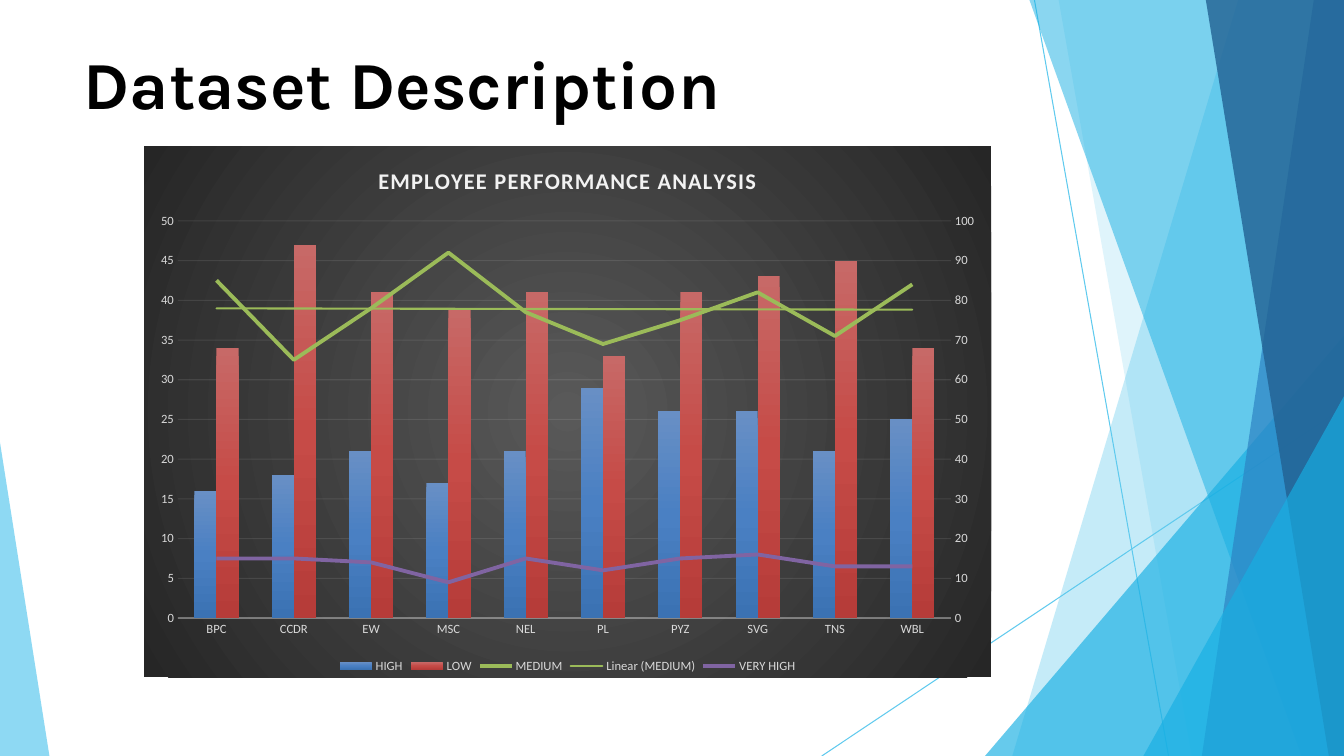
import copy

import pptx
import pptx.chart.data
import pptx.dml.color
import pptx.enum.chart
import pptx.enum.shapes
import pptx.enum.text
import pptx.oxml
import pptx.oxml.ns
import pptx.util

Inches = pptx.util.Inches
Pt = pptx.util.Pt
RGBColor = pptx.dml.color.RGBColor
qn = pptx.oxml.ns.qn

SKY = RGBColor(0x5F, 0xCA, 0xEE)
CYAN = RGBColor(0x17, 0xAF, 0xE3)
BLUE = RGBColor(0x2D, 0x83, 0xC3)
NAVY = RGBColor(0x22, 0x61, 0x92)
BLACK = RGBColor(0, 0, 0)
PALE = RGBColor(0xF2, 0xF2, 0xF2)
LIGHT = RGBColor(0xD9, 0xD9, 0xD9)
GREEN = RGBColor(0x9B, 0xBB, 0x59)
PURPLE = RGBColor(0x80, 0x64, 0xA2)
BACKDROP = [RGBColor(0x59, 0x59, 0x59), RGBColor(0x26, 0x26, 0x26)]
BAR_SHADES = [
    [RGBColor(0x68, 0x8F, 0xC5), RGBColor(0x4A, 0x80, 0xC3), RGBColor(0x3B, 0x72, 0xB3)],
    [RGBColor(0xC7, 0x69, 0x67), RGBColor(0xC6, 0x4B, 0x47), RGBColor(0xB6, 0x3C, 0x39)],
]
LINEAR = '<a:lin ang="5400000" scaled="0"/>'
RADIAL = ('<a:path path="circle"><a:fillToRect l="50000" t="50000" '
          'r="50000" b="50000"/></a:path>')

CATEGORIES = ["BPC", "CCDR", "EW", "MSC", "NEL", "PL", "PYZ", "SVG", "TNS", "WBL"]
SERIES = {
    "HIGH": [16, 18, 21, 17, 21, 29, 26, 26, 21, 25],
    "LOW": [34, 47, 41, 39, 41, 33, 41, 43, 45, 34],
    "MEDIUM": [85, 65, 78, 92, 77, 69, 75, 82, 71, 84],
    "VERY HIGH": [15, 15, 14, 9, 15, 12, 15, 16, 13, 13],
}


def xml(text):
    names = pptx.oxml.ns.nsdecls("a", "c")
    head, tail = text.split(">", 1)
    if head.endswith("/"):
        return pptx.oxml.parse_xml(f"{head[:-1]} {names}/>{tail}")
    return pptx.oxml.parse_xml(f"{head} {names}>{tail}")


def set_opacity(parent, percent):
    for color in parent.iter(qn("a:srgbClr")):
        color.append(xml(f'<a:alpha val="{percent * 1000}"/>'))


def gradient(colors, direction):
    step = 100000 // (len(colors) - 1)
    stops = "".join(f'<a:gs pos="{i * step}"><a:srgbClr val="{color}"/></a:gs>'
                    for i, color in enumerate(colors))
    return xml(f"<a:gradFill><a:gsLst>{stops}</a:gsLst>{direction}</a:gradFill>")


def add_facet(page, points, color, opacity):
    corners = [(Inches(x), Inches(y)) for x, y in points]
    builder = page.shapes.build_freeform(*corners[0], scale=1.0)
    builder.add_line_segments(corners[1:], close=True)
    facet = builder.convert_to_shape()
    facet.shadow.inherit = False
    facet.fill.solid()
    facet.fill.fore_color.rgb = color
    facet.line.fill.background()
    set_opacity(facet._element.spPr, opacity)


def add_decoration(page, width, height):
    for ends in [(10.26, 0, 11.59, height), (width, 4.04, 8.15, height)]:
        ray = page.shapes.add_connector(
            pptx.enum.shapes.MSO_CONNECTOR.STRAIGHT, *map(Inches, ends))
        ray.line.color.rgb = SKY
        ray.line.width = Pt(0.75)
        ray._element.spPr.append(xml("<a:effectLst/>"))
    facets = [
        (12.28, 0, 10.04, SKY, 36),
        (10.5, 0, 11.82, SKY, 20),
        (width, 3.33, 9.77, CYAN, 66),
        (10.21, 0, 12.91, CYAN, 50),
        (13.03, 0, 11.92, BLUE, 70),
        (11.96, 0, 13.18, NAVY, 80),
        (width, 3.93, 11.34, CYAN, 66),
    ]
    for top_x, top_y, bottom_x, color, opacity in facets:
        points = [(width, top_y), (top_x, top_y), (bottom_x, height), (width, height)]
        add_facet(page, list(dict.fromkeys(points)), color, opacity)
    add_facet(page, [(0, 4.39), (0, height), (0.49, height)], SKY, 70)


def add_title(page, left, top, width, height):
    title = page.shapes.title
    title.left, title.top, title.width, title.height = map(
        Inches, (left, top, width, height))
    frame = title.text_frame
    frame.margin_left = frame.margin_right = frame.margin_top = frame.margin_bottom = 0
    frame.vertical_anchor = pptx.enum.text.MSO_ANCHOR.TOP
    frame.text = "Dataset Description"
    para = frame.paragraphs[0]
    para.alignment = pptx.enum.text.PP_ALIGN.LEFT
    set_font(para.font, 48, BLACK, "Karla", True)


def set_font(font, size, color, name="Calibri", bold=False):
    font.size = Pt(size)
    font.color.rgb = color
    font.name = name
    font.bold = bold


def style_axes(chart):
    for axis in (chart.category_axis, chart.value_axis):
        axis.major_tick_mark = axis.minor_tick_mark = pptx.enum.chart.XL_TICK_MARK.NONE
        set_font(axis.tick_labels.font, 9, LIGHT)
    base = chart.category_axis.format.line
    base.color.rgb = PALE
    base.width = Pt(1)
    set_opacity(base._ln, 54)
    values = chart.value_axis
    values.minimum_scale, values.maximum_scale, values.major_unit = 0, 50, 5
    values.format.line.fill.background()
    grid = values.major_gridlines.format.line
    grid.color.rgb = PALE
    grid.width = Pt(0.75)
    set_opacity(grid._ln, 10)


def move_to_right_axis(chart, names):
    bars = chart.plots[0]._element
    lines = xml('<c:lineChart><c:grouping val="standard"/><c:varyColors val="0"/>'
                '<c:marker val="1"/><c:axId val="5001"/><c:axId val="5002"/></c:lineChart>')
    for series in list(chart.plots[0].series):
        if series.name in names:
            element = series._element
            for flag in element.findall(qn("c:invertIfNegative")):
                element.remove(flag)
            lines.find(qn("c:marker")).addprevious(element)
    bars.addnext(lines)

    left_values = chart.value_axis._element
    values = copy.deepcopy(left_values)
    categories = copy.deepcopy(chart.category_axis._element)
    for axis, own, other in [(values, "5002", "5001"), (categories, "5001", "5002")]:
        axis.find(qn("c:axId")).set("val", own)
        axis.find(qn("c:crossAx")).set("val", other)
    for grid in values.findall(qn("c:majorGridlines")):
        values.remove(grid)
    values.find(qn("c:axPos")).set("val", "r")
    values.find(qn("c:crosses")).set("val", "max")
    values.find(qn("c:scaling")).find(qn("c:max")).set("val", "100")
    values.find(qn("c:majorUnit")).set("val", "10")
    categories.find(qn("c:delete")).set("val", "1")
    left_values.addnext(values)
    values.addnext(categories)


def add_trend(series, color):
    series._element.find(qn("c:cat")).addprevious(xml(
        f'<c:trendline><c:spPr><a:ln w="{Pt(1.5)}" cap="rnd"><a:solidFill>'
        f'<a:srgbClr val="{color}"/></a:solidFill></a:ln></c:spPr>'
        '<c:trendlineType val="linear"/><c:dispRSqr val="0"/><c:dispEq val="0"/>'
        '</c:trendline>'))


def add_performance_chart(page, left, top, width, height):
    data = pptx.chart.data.CategoryChartData()
    data.categories = CATEGORIES
    for name, values in SERIES.items():
        data.add_series(name, values)
    chart = page.shapes.add_chart(
        pptx.enum.chart.XL_CHART_TYPE.COLUMN_CLUSTERED,
        *map(Inches, (left, top, width, height)), data).chart
    set_font(chart.font, 10, BLACK)

    backdrop = xml("<c:spPr><a:ln><a:noFill/></a:ln></c:spPr>")
    backdrop.insert(0, gradient(BACKDROP, RADIAL))
    chart._chartSpace.find(qn("c:chart")).addnext(backdrop)

    chart.has_title = True
    chart.chart_title.include_in_layout = False
    frame = chart.chart_title.text_frame
    frame.text = "EMPLOYEE PERFORMANCE ANALYSIS"
    span = frame.paragraphs[0].runs[0]
    set_font(span.font, 16, PALE, bold=True)
    span._r.get_or_add_rPr().set("spc", "100")

    chart.has_legend = True
    chart.legend.position = pptx.enum.chart.XL_LEGEND_POSITION.BOTTOM
    chart.legend.include_in_layout = False
    set_font(chart.legend.font, 9, LIGHT)

    style_axes(chart)
    move_to_right_axis(chart, ["MEDIUM", "VERY HIGH"])
    bars, lines = chart.plots
    bars.gap_width, bars.overlap = 150, 0
    bars.vary_by_categories = False
    for series, shades in zip(bars.series, BAR_SHADES):
        series.format.line.fill.background()
        series._element.spPr.insert(0, gradient(shades, LINEAR))
    for series, color in zip(lines.series, [GREEN, PURPLE]):
        series.format.line.color.rgb = color
        series.format.line.width = Pt(2.75)
        series.marker.style = pptx.enum.chart.XL_MARKER_STYLE.NONE
        series.smooth = False
    add_trend(lines.series[0], GREEN)


def main():
    deck = pptx.Presentation()
    deck.slide_width, deck.slide_height = Inches(13.33), Inches(7.5)
    page = deck.slides.add_slide(deck.slide_layouts[5])
    add_decoration(page, 13.33, 7.5)
    add_title(page, 0.83, 0.42, 11.68, 0.79)
    add_performance_chart(page, 1.43, 1.45, 8.4, 5.27)
    deck.save("out.pptx")


if __name__ == "__main__":
    main()
